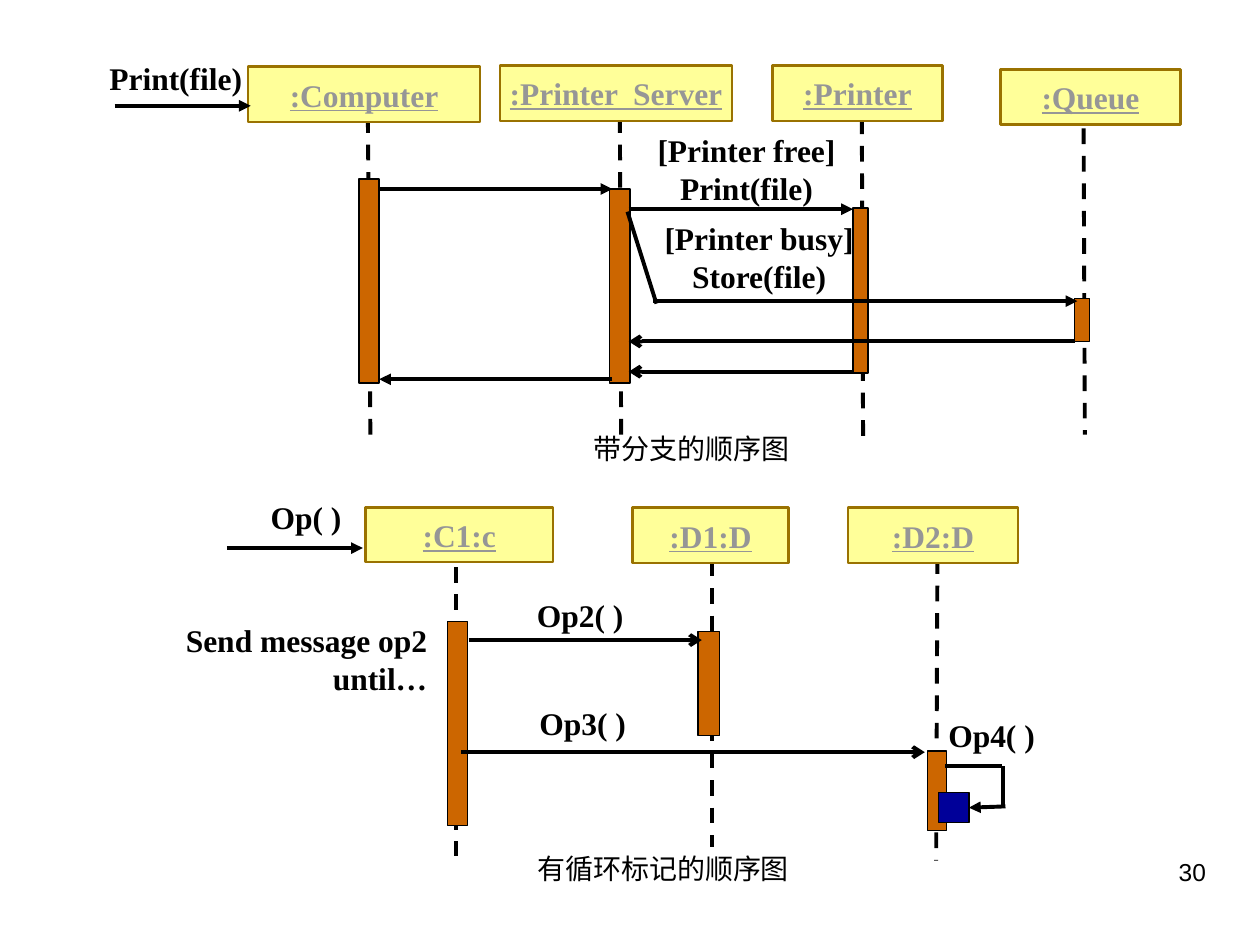
from dataclasses import dataclass

from lxml.etree import SubElement
from pptx import Presentation
from pptx.dml.color import RGBColor
from pptx.enum.dml import MSO_LINE
from pptx.enum.shapes import MSO_CONNECTOR, MSO_SHAPE
from pptx.enum.text import MSO_ANCHOR, PP_ALIGN
from pptx.oxml.ns import qn
from pptx.util import Inches, Pt


@dataclass(frozen=True)
class Theme:
    ink: str = "000000"
    head_fill: str = "FFFF99"
    head_border: str = "9A7200"
    head_text: str = "969696"
    bar_fill: str = "CC6600"
    loop_fill: str = "000099"
    serif: str = "Times New Roman"
    sans: str = "Arial"
    label_size: int = 18
    caption_size: int = 16
    number_size: int = 14
    message_width: float = 2.25
    head_width: float = 1.5
    bar_width: float = 0.75


THEME = Theme()
LEFT, CENTER, RIGHT = PP_ALIGN.LEFT, PP_ALIGN.CENTER, PP_ALIGN.RIGHT

BRANCHING = {
    "lifelines": [
        (":Computer", (1.97, 0.53, 1.84, 0.44), (2.85, 1.42, 0.16, 1.62), (2.92, 0.93, 2.94, 3.47)),
        (":Printer  Server", (3.97, 0.52, 1.84, 0.44), (4.84, 1.5, 0.16, 1.54), (4.92, 0.93, 4.93, 3.47)),
        (":Printer", (6.13, 0.52, 1.35, 0.44), (6.77, 1.65, 0.12, 1.31), (6.84, 0.94, 6.85, 3.48)),
        (":Queue", (7.94, 0.55, 1.43, 0.44), (8.53, 2.37, 0.12, 0.34), (8.6, 1.02, 8.61, 3.45)),
    ],
    "loops": [],
    "messages": [
        ((0.91, 0.84, 1.99, 0.84), "triangle"),
        ((3.02, 1.5, 4.86, 1.5), "triangle"),
        ((4.86, 3.01, 3.01, 3.01), "triangle"),
        ((4.99, 1.66, 6.77, 1.66), "triangle"),
        ((4.98, 1.68, 5.21, 2.41), None),
        ((5.18, 2.39, 8.55, 2.39), "triangle"),
        ((8.53, 2.71, 4.99, 2.71), "arrow"),
        ((6.77, 2.95, 4.99, 2.95), "arrow"),
    ],
    "labels": [
        (["Print(file)"], (0.77, 0.42, 1.66, 0.4), LEFT),
        (["[Printer free]", "Print(file)"], (4.98, 0.99, 1.89, 0.7), CENTER),
        (["[Printer busy]", "Store(file)"], (5.08, 1.69, 1.89, 0.7), CENTER),
    ],
    "caption": ("带分支的顺序图", (3.45, 3.38, 4.08, 0.37), CENTER),
}

LOOPING = {
    "lifelines": [
        (":C1:c", (2.9, 4.03, 1.49, 0.43), (3.55, 4.93, 0.16, 1.62), (3.62, 4.5, 3.62, 6.79)),
        (":D1:D", (5.02, 4.03, 1.24, 0.44), (5.54, 5.01, 0.17, 0.83), (5.65, 4.45, 5.65, 6.72)),
        (":D2:D", (6.73, 4.03, 1.35, 0.44), (7.36, 5.96, 0.15, 0.63), (7.44, 4.43, 7.43, 6.83)),
    ],
    "loops": [(7.45, 6.29, 0.24, 0.24)],
    "messages": [
        ((1.8, 4.35, 2.88, 4.35), "triangle"),
        ((3.72, 5.08, 5.57, 5.08), "arrow"),
        ((3.66, 5.97, 7.34, 5.97), "arrow"),
        ((7.5, 6.08, 7.95, 6.08), None),
        ((7.96, 6.08, 7.96, 6.4), None),
        ((7.98, 6.4, 7.69, 6.41), "triangle"),
    ],
    "labels": [
        (["Op( )"], (2.05, 3.9, 1.06, 0.4), LEFT),
        (["Op2( )"], (3.66, 4.68, 1.89, 0.4), CENTER),
        (["Op3( )"], (3.68, 5.54, 1.89, 0.4), CENTER),
        (["Op4( )"], (7.21, 5.63, 1.32, 0.4), CENTER),
        (["Send message op2", "until…"], (1.36, 4.88, 2.13, 0.7), RIGHT),
    ],
    "caption": ("有循环标记的顺序图", (4.17, 6.71, 3.43, 0.37), LEFT),
}

PAGE_NUMBER = ("30", (7.17, 6.75, 2.5, 0.52), RIGHT)


def inches(values):
    return [Inches(value) for value in values]


def write(frame, lines, align, size, face=THEME.serif, color=THEME.ink, bold=False, underline=False):
    frame.text = "\n".join(lines)
    for paragraph in frame.paragraphs:
        paragraph.alignment = align
        font = paragraph.font
        font.name, font.size = face, Pt(size)
        font.bold, font.underline = bold, underline
        font.color.rgb = RGBColor.from_string(color)


def add_text(shapes, lines, place, align, size, **style):
    frame = shapes.add_textbox(*inches(place)).text_frame
    frame.word_wrap = True
    write(frame, lines, align, size, **style)


def add_box(shapes, place, fill, border, width):
    box = shapes.add_shape(MSO_SHAPE.RECTANGLE, *inches(place))
    box.shadow.inherit = False
    box.fill.solid()
    box.fill.fore_color.rgb = RGBColor.from_string(fill)
    box.line.color.rgb = RGBColor.from_string(border)
    box.line.width = Pt(width)
    return box


def add_line(shapes, ends, tip=None, dashed=False):
    connector = shapes.add_connector(MSO_CONNECTOR.STRAIGHT, *inches(ends))
    connector.line.color.rgb = RGBColor.from_string(THEME.ink)
    connector.line.width = Pt(THEME.message_width)
    if dashed:
        connector.line.dash_style = MSO_LINE.DASH
    if tip:
        SubElement(connector.line._get_or_add_ln(), qn("a:tailEnd"), type=tip)
    SubElement(connector._element.spPr, qn("a:effectLst"))


def add_lifeline(shapes, name, head_place, bar_place, ends):
    add_line(shapes, ends, dashed=True)
    head = add_box(shapes, head_place, THEME.head_fill, THEME.head_border, THEME.head_width)
    head.text_frame.vertical_anchor = MSO_ANCHOR.MIDDLE
    head.text_frame.word_wrap = False
    write(head.text_frame, [name], CENTER, THEME.label_size,
          color=THEME.head_text, bold=True, underline=True)
    add_box(shapes, bar_place, THEME.bar_fill, THEME.ink, THEME.bar_width)


def add_diagram(slide, diagram):
    shapes = slide.shapes.add_group_shape().shapes
    for lifeline in diagram["lifelines"]:
        add_lifeline(shapes, *lifeline)
    for place in diagram["loops"]:
        add_box(shapes, place, THEME.loop_fill, THEME.ink, THEME.bar_width)
    for ends, tip in diagram["messages"]:
        add_line(shapes, ends, tip)
    for lines, place, align in diagram["labels"]:
        add_text(shapes, lines, place, align, THEME.label_size, bold=True)
    caption, place, align = diagram["caption"]
    add_text(shapes, [caption], place, align, THEME.caption_size)


def main():
    presentation = Presentation()
    presentation.slide_width, presentation.slide_height = Inches(10), Inches(7.5)
    slide = presentation.slides.add_slide(presentation.slide_layouts[6])
    for diagram in (BRANCHING, LOOPING):
        add_diagram(slide, diagram)
    number, place, align = PAGE_NUMBER
    add_text(slide.shapes, [number], place, align, THEME.number_size, face=THEME.sans)
    presentation.save("out.pptx")


if __name__ == "__main__":
    main()
